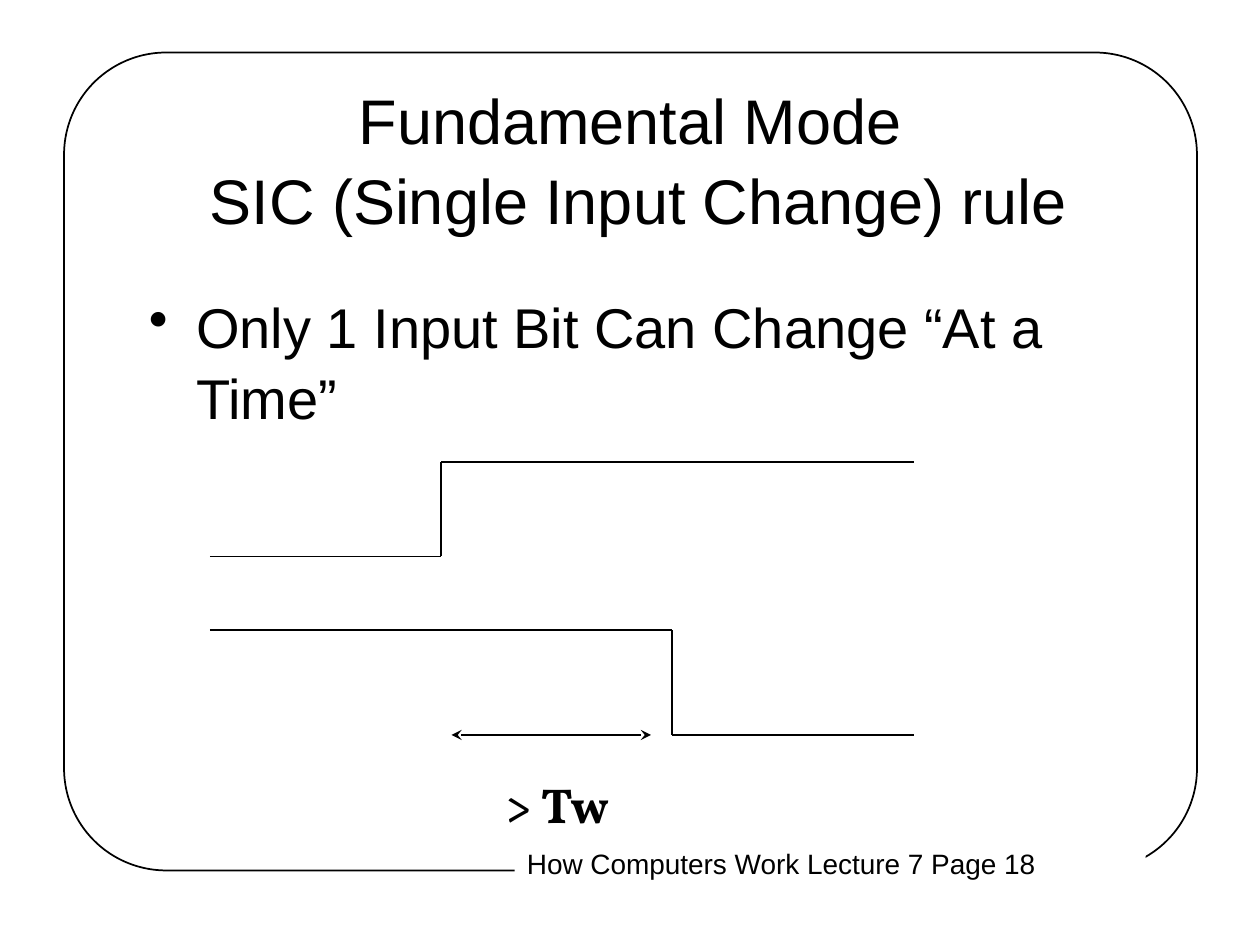
from itertools import pairwise

from lxml import etree
from pptx import Presentation
from pptx import util as u
from pptx.dml.color import RGBColor
from pptx.enum import shapes, text
from pptx.oxml.ns import qn

BLACK = RGBColor(0, 0, 0)
WHITE = RGBColor(255, 255, 255)
PX = u.Inches(1) // 120


def write(shape, content, size, font="Arial", bold=False, align=text.PP_ALIGN.LEFT,
          anchor=text.MSO_ANCHOR.TOP, spacing=1.0, bullet=None, indent=0):
    """Fill the shape with one formatted paragraph, hung from its bullet if any."""
    frame = shape.text_frame
    frame.word_wrap = True
    frame.auto_size = text.MSO_AUTO_SIZE.NONE
    frame.vertical_anchor = anchor
    para = frame.paragraphs[0]
    para.text = content
    para.alignment = align
    para.line_spacing = spacing
    if bullet:
        props = para._p.get_or_add_pPr()
        props.set("marL", str(indent * PX))
        props.set("indent", str(-indent * PX))
        etree.SubElement(props, qn("a:buChar")).set("char", bullet)
    for span in para.runs:
        span.font.name = font
        span.font.size = u.Pt(size)
        span.font.bold = bold
        span.font.color.rgb = BLACK


class SlideMaker:
    def __init__(self, deck, color=BLACK, weight=1):
        self.slide = deck.slides.add_slide(deck.slide_layouts[5])
        self.color = color
        self.weight = u.Pt(weight)

    def title(self, content, left, top, width, height, **style):
        shape = self.slide.shapes.title
        shape.left, shape.top = left * PX, top * PX
        shape.width, shape.height = width * PX, height * PX
        write(shape, content, **style)

    def text(self, content, left, top, width, height, fill=None, **style):
        box = self.slide.shapes.add_textbox(left * PX, top * PX, width * PX, height * PX)
        if fill is not None:
            box.fill.solid()
            box.fill.fore_color.rgb = fill
        write(box, content, **style)

    def frame(self, left, top, width, height, corner):
        shape = self.slide.shapes.add_shape(
            shapes.MSO_SHAPE.ROUNDED_RECTANGLE,
            left * PX, top * PX, width * PX, height * PX)
        shape.adjustments[0] = corner
        shape.shadow.inherit = False
        shape.fill.background()
        shape.line.color.rgb = self.color
        shape.line.width = self.weight

    def line(self, start, end, arrows=False):
        line = self.slide.shapes.add_connector(
            shapes.MSO_CONNECTOR.STRAIGHT, *(value * PX for value in (*start, *end)))
        line.line.color.rgb = self.color
        line.line.width = self.weight
        if arrows:
            outline = line.line._get_or_add_ln()
            for tag in ("a:headEnd", "a:tailEnd"):
                etree.SubElement(outline, qn(tag)).set("type", "stealth")
        etree.SubElement(line._element.spPr, qn("a:effectLst"))

    def signal(self, *points):
        """Draw a waveform as one line for each level and edge."""
        for start, end in pairwise(points):
            self.line(start, end)


def main():
    deck = Presentation()
    deck.slide_width, deck.slide_height = u.Inches(10), u.Inches(7.5)
    maker = SlideMaker(deck)

    maker.frame(61, 50, 1079, 779, corner=0.125)
    maker.text("How Computers Work Lecture 7 Page 18", 490, 800, 601, 44,
               fill=WHITE, size=16)
    maker.title("Fundamental Mode\v SIC (Single Input Change) rule",
                100, 20, 1000, 260, size=36, spacing=1.05,
                align=text.PP_ALIGN.CENTER, anchor=text.MSO_ANCHOR.MIDDLE)
    maker.text("Only 1 Input Bit Can Change “At a Time”", 130, 270, 940, 540,
               size=32, spacing=1.05, bullet="•", indent=45)

    maker.signal((200, 530), (420, 530), (420, 440), (870, 440))
    maker.signal((200, 600), (640, 600), (640, 700), (870, 700))
    maker.line((430, 700), (620, 700), arrows=True)
    maker.text("> Tw", 469, 732, 133, 68, size=28, font="Vollkorn", bold=True)

    deck.save("out.pptx")


if __name__ == "__main__":
    main()
